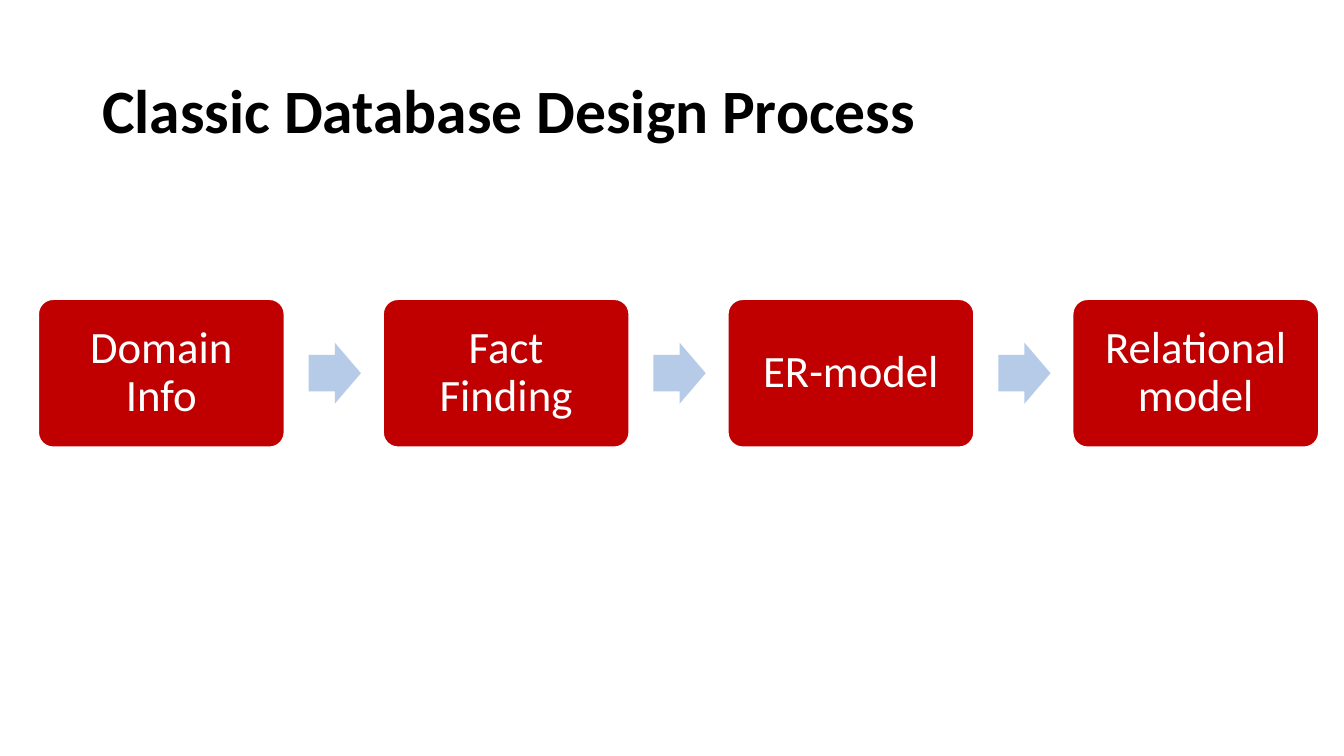
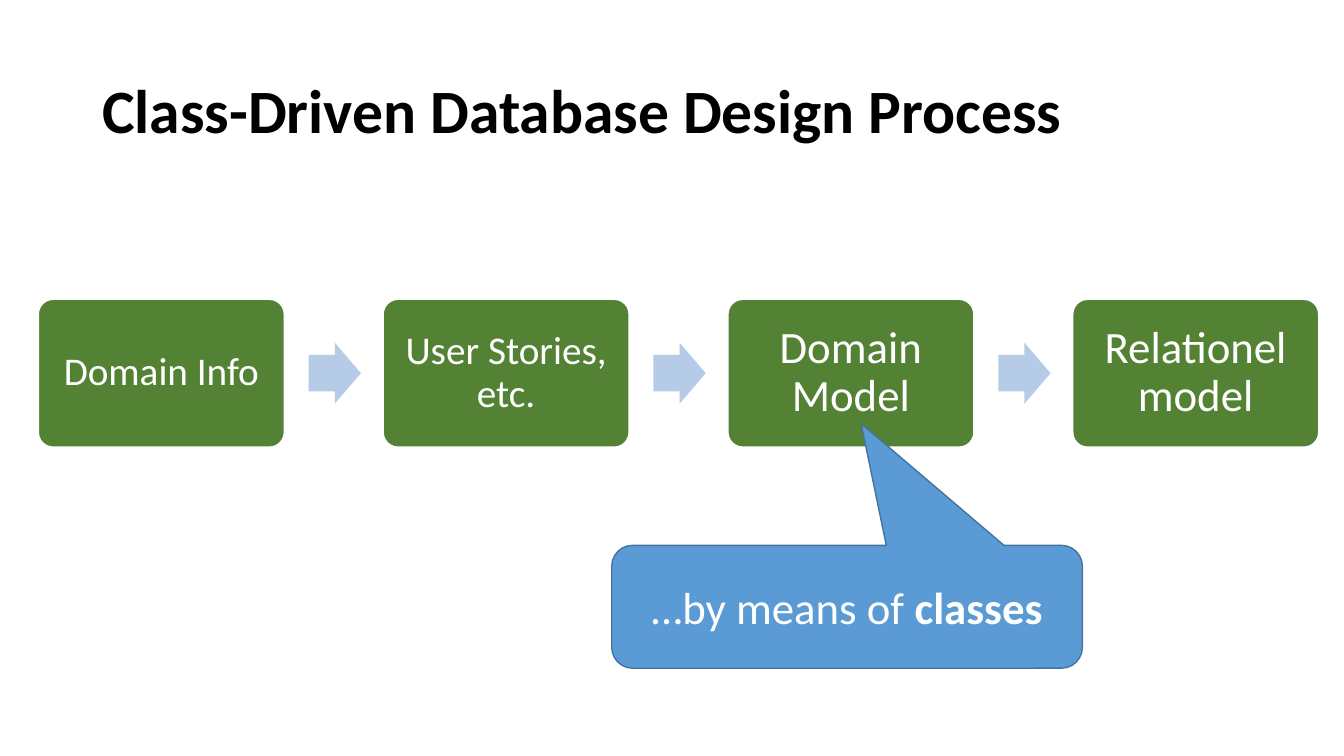
from pptx import Presentation
from pptx.dml.color import RGBColor
from pptx.enum.shapes import MSO_SHAPE
from pptx.enum.text import MSO_ANCHOR, PP_ALIGN
from pptx.util import Pt

RED = RGBColor(0xC0, 0x00, 0x00)
GREEN = RGBColor(0x54, 0x82, 0x35)
BLUE = RGBColor(0x5B, 0x9B, 0xD5)
NAVY = RGBColor(0x43, 0x73, 0x9E)
PALE = RGBColor(0xB5, 0xCB, 0xE7)
WHITE = RGBColor(0xFF, 0xFF, 0xFF)
BLACK = RGBColor(0x00, 0x00, 0x00)

ROUND = MSO_SHAPE.ROUNDED_RECTANGLE
ARROW = MSO_SHAPE.RIGHT_ARROW
CALLOUT = MSO_SHAPE.ROUNDED_RECTANGULAR_CALLOUT
MIDDLE = MSO_ANCHOR.MIDDLE
LEFT = PP_ALIGN.LEFT
CENTER = PP_ALIGN.CENTER

FONT = "Calibri"
START, STEP, AXIS = 27.4, 246.3, 266.6
BOX_W, BOX_H = 175.7, 105.6
ARROW_W, ARROW_H = 37.3, 43.6
ARROW_GAP = 17.4


class Deck:
    def __init__(self):
        self.show = Presentation()
        self.show.slide_width = Pt(960)
        self.show.slide_height = Pt(540)
        self.slide = None

    def page(self, title):
        self.slide = self.show.slides.add_slide(self.show.slide_layouts[6])
        box = self.slide.shapes.add_textbox(Pt(66), Pt(28.75), Pt(828), Pt(104.4))
        self.label(box, [(title, True)], 44, BLACK, LEFT)

    def label(self, shape, parts, size, color=WHITE, align=CENTER, space=0.9):
        frame = shape.text_frame
        frame.word_wrap = True
        frame.vertical_anchor = MIDDLE
        para = frame.paragraphs[0]
        para.alignment = align
        para.line_spacing = space
        para.font.name = FONT
        para.font.size = Pt(size)
        para.font.color.rgb = color
        for text, bold in parts:
            run = para.add_run()
            run.text = text
            run.font.bold = bold

    def shape(self, kind, left, top, width, height, fill, adjust, line=None):
        item = self.slide.shapes.add_shape(
            kind, Pt(left), Pt(top), Pt(width), Pt(height))
        item.shadow.inherit = False
        item.fill.solid()
        item.fill.fore_color.rgb = fill
        if line is None:
            item.line.fill.background()
        else:
            item.line.color.rgb = line
            item.line.width = Pt(1)
        for index, value in enumerate(adjust):
            item.adjustments[index] = value
        return item

    def step(self, left, text, size, fill):
        box = self.shape(ROUND, left, AXIS - BOX_H / 2, BOX_W, BOX_H,
                         fill, [0.1], WHITE)
        frame = box.text_frame
        inset = Pt(size * 0.3)
        frame.margin_left = frame.margin_right = inset
        frame.margin_top = frame.margin_bottom = inset
        self.label(box, [(text, False)], size)

    def arrow(self, left):
        self.shape(ARROW, left, AXIS - ARROW_H / 2, ARROW_W, ARROW_H,
                   PALE, [0.6, 0.5])

    def flow(self, steps, fill):
        for index, (text, size) in enumerate(steps):
            left = START + index * STEP
            if index:
                self.arrow(left - STEP + BOX_W + ARROW_GAP)
            self.step(left, text, size, fill)

    def callout(self, parts):
        box = self.shape(CALLOUT, 437, 389.5, 336.2, 87.8, BLUE,
                         [0.03, -1.49, 0.17], NAVY)
        self.label(box, parts, 32, space=1.0)


def main():
    deck = Deck()
    deck.page("Classic Database Design Process")
    deck.flow([("Domain Info", 32), ("Fact Finding", 32),
               ("ER-model", 32), ("Relational model", 32)], RED)

    deck.page("Class-Driven Database Design Process")
    deck.flow([("Domain Info", 28), ("User Stories, etc.", 28),
               ("Domain Model", 32), ("Relationel model", 32)], GREEN)
    deck.callout([("…by means of ", False), ("classes", True)])
    deck.show.save("out.pptx")


if __name__ == "__main__":
    main()
